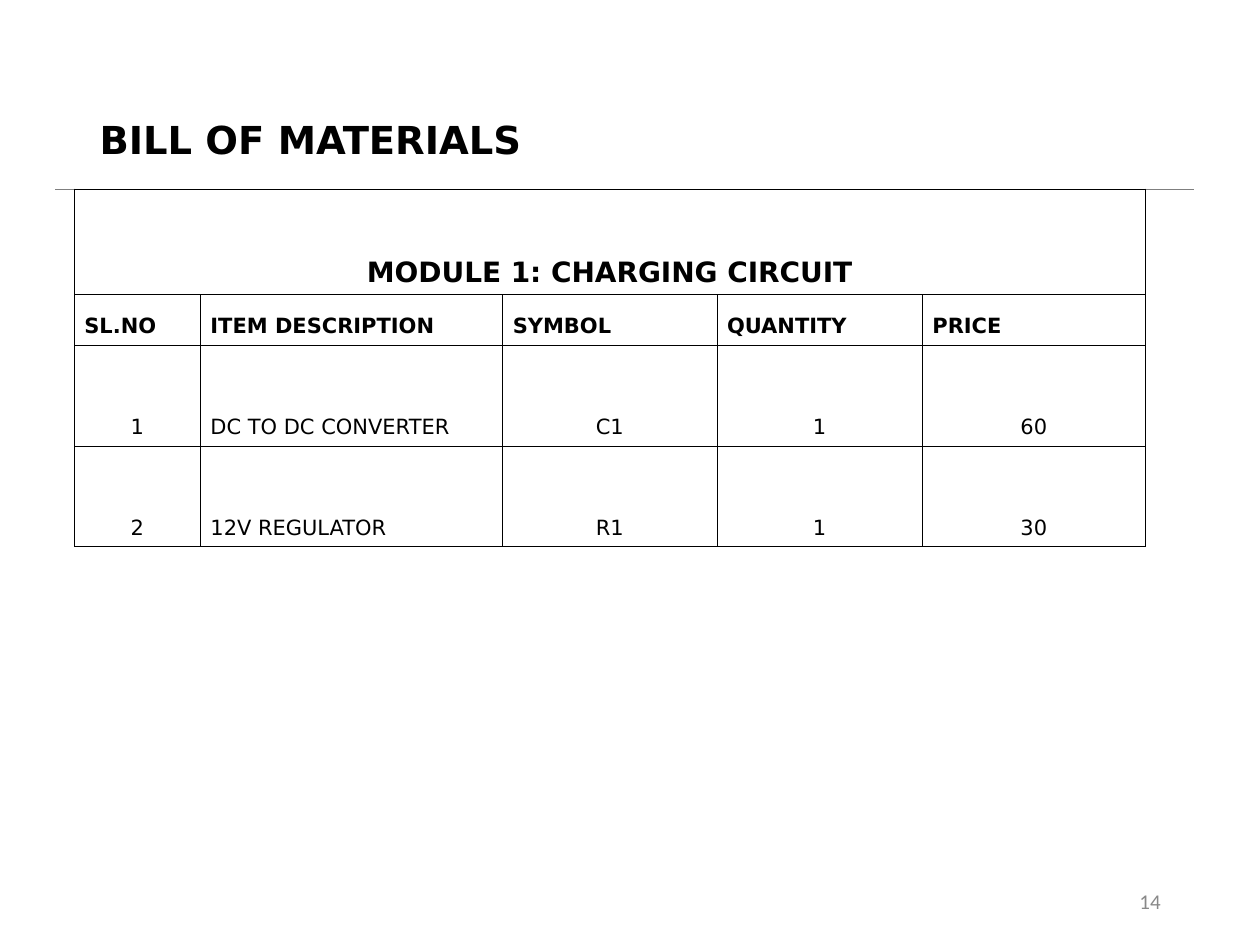
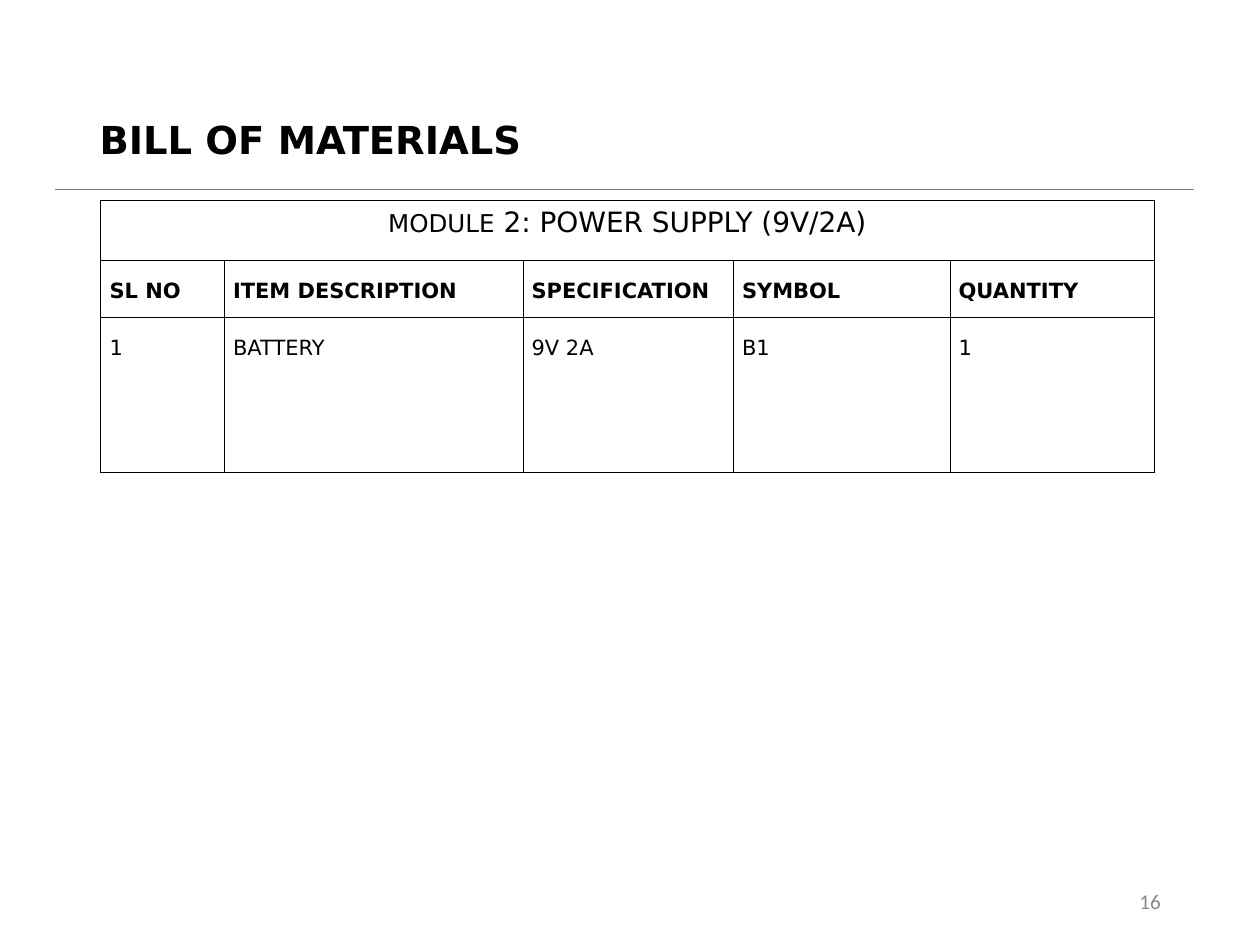
from dataclasses import dataclass

from lxml import etree
from pptx import Presentation
from pptx import util as u
from pptx.dml.color import RGBColor
from pptx.enum import shapes, text
from pptx.oxml import ns

BLACK, RULE_GREY, NUMBER_GREY = "000000", "7F7F7F", "898989"
MAIN_FONT, NUMBER_FONT = "DejaVu Sans", "Calibri"
LEFT, CENTER, RIGHT = text.PP_ALIGN.LEFT, text.PP_ALIGN.CENTER, text.PP_ALIGN.RIGHT
TOP, MIDDLE, BOTTOM = (text.MSO_ANCHOR.TOP, text.MSO_ANCHOR.MIDDLE,
                       text.MSO_ANCHOR.BOTTOM)
TITLE_BOX = (0.69, 0.4, 8.63, 1.45)
RULE_BOX = (0.44, 1.5, 9.04, 0)
NUMBER_BOX = (7.06, 6.95, 2.25, 0.4)


@dataclass
class Module:
    """The bill of one module and how its table is set."""
    page: str
    heading: list
    heading_bold: bool
    heading_spaced: bool
    rows: list
    corner: tuple
    widths: list
    heights: list
    aligns: list
    anchor: int
    side_inset: float


MODULES = [
    Module("14", [("MODULE 1: CHARGING CIRCUIT", 16)], True, True,
           [["SL.NO", "ITEM DESCRIPTION", "SYMBOL", "QUANTITY", "PRICE"],
            ["1", "DC TO DC CONVERTER", "C1", "1", "60"],
            ["2", "12V REGULATOR", "R1", "1", "30"]],
           (0.59, 1.5), [1, 2.4, 1.7, 1.63, 1.77], [0.84, 0.4, 0.8, 0.8],
           [CENTER, LEFT, CENTER, CENTER, CENTER], BOTTOM, 0.08),
    Module("16", [("MODULE", 14), (" 2: POWER SUPPLY (9V/2A)", 16)], False, False,
           [["SL NO", "ITEM DESCRIPTION", "SPECIFICATION", "SYMBOL", "QUANTITY"],
            ["1", "BATTERY", "9V 2A", "B1", "1"]],
           (0.8, 1.59), [0.98, 2.37, 1.67, 1.72, 1.62], [0.48, 0.45, 1.23],
           [LEFT] * 5, TOP, 0.07),
]


def rgb(value):
    """Turn a hex string into a colour."""
    return RGBColor.from_string(value)


def inches(box):
    """Turn a tuple of numbers into lengths."""
    return [u.Inches(number) for number in box]


def write(paragraph, parts, bold=False, align=LEFT, color=BLACK, font=MAIN_FONT):
    """Fill a paragraph with (words, size) parts in one style."""
    paragraph.alignment = align
    for words, size in parts:
        run = paragraph.add_run()
        run.text = words
        run.font.size = u.Pt(size)
        run.font.name = font
        run.font.bold = bold
        run.font.color.rgb = rgb(color)


def add_title(slide, box):
    """Place the slide title in its box."""
    title = slide.shapes.title
    title.left, title.top, title.width, title.height = inches(box)
    title.text_frame.vertical_anchor = MIDDLE
    paragraph = title.text_frame.paragraphs[0]
    write(paragraph, [("BILL OF MATERIALS", 22)], bold=True)
    paragraph.line_spacing = 0.9


def add_rule(slide, box):
    """Draw the thin line under the title."""
    left, top, width, height = inches(box)
    rule = slide.shapes.add_connector(
        shapes.MSO_CONNECTOR.STRAIGHT, left, top, left + width, top + height)
    rule.line.color.rgb = rgb(RULE_GREY)
    rule.line.width = u.Pt(0.5)
    etree.SubElement(rule._element.spPr, ns.qn("a:effectLst"))


def add_page_number(slide, box, page):
    """Write the page number at the lower right."""
    frame = slide.shapes.add_textbox(*inches(box)).text_frame
    frame.word_wrap = True
    frame.vertical_anchor = MIDDLE
    write(frame.paragraphs[0], [(page, 12)], align=RIGHT,
          color=NUMBER_GREY, font=NUMBER_FONT)


def outline_cell(cell):
    """Give a cell thin black borders and no fill."""
    properties = cell._tc.get_or_add_tcPr()
    for side in ("a:lnL", "a:lnR", "a:lnT", "a:lnB"):
        border = etree.SubElement(properties, ns.qn(side), w=str(u.Pt(0.45)))
        fill = etree.SubElement(border, ns.qn("a:solidFill"))
        etree.SubElement(fill, ns.qn("a:srgbClr"), val=BLACK)
    cell.fill.background()


def fill_cell(cell, module, parts, bold, align, spaced=True):
    """Write one table cell in the module's setting."""
    cell.margin_left = cell.margin_right = u.Inches(module.side_inset)
    cell.margin_top = cell.margin_bottom = u.Inches(0.05)
    cell.vertical_anchor = module.anchor
    paragraph = cell.text_frame.paragraphs[0]
    write(paragraph, parts, bold, align)
    if spaced:
        paragraph.line_spacing = 1.5
        paragraph.space_after = u.Pt(8)


def add_bill(slide, module):
    """Build the table of a module's items under a merged heading."""
    box = (*module.corner, sum(module.widths), sum(module.heights))
    bill = slide.shapes.add_table(
        len(module.heights), len(module.widths), *inches(box)).table
    bill.first_row = bill.horz_banding = False
    for column, width in zip(bill.columns, module.widths):
        column.width = u.Inches(width)
    for row, height in zip(bill.rows, module.heights):
        row.height = u.Inches(height)
    for cell in bill.iter_cells():
        outline_cell(cell)
    heading = bill.cell(0, 0)
    heading.merge(bill.cell(0, len(module.widths) - 1))
    fill_cell(heading, module, module.heading, module.heading_bold, CENTER,
              module.heading_spaced)
    for row, entries in enumerate(module.rows, start=1):
        is_header = row == 1
        for column, entry in enumerate(entries):
            align = LEFT if is_header else module.aligns[column]
            fill_cell(bill.cell(row, column), module, [(entry, 12)], is_header, align)


def add_module_slide(deck, module):
    """Add one bill of materials slide."""
    slide = deck.slides.add_slide(deck.slide_layouts.get_by_name("Title Only"))
    add_rule(slide, RULE_BOX)
    add_title(slide, TITLE_BOX)
    add_bill(slide, module)
    add_page_number(slide, NUMBER_BOX, module.page)


def main():
    """Build and save the deck."""
    deck = Presentation()
    deck.slide_width, deck.slide_height = inches((10, 7.5))
    for module in MODULES:
        add_module_slide(deck, module)
    deck.save("out.pptx")


if __name__ == "__main__":
    main()
